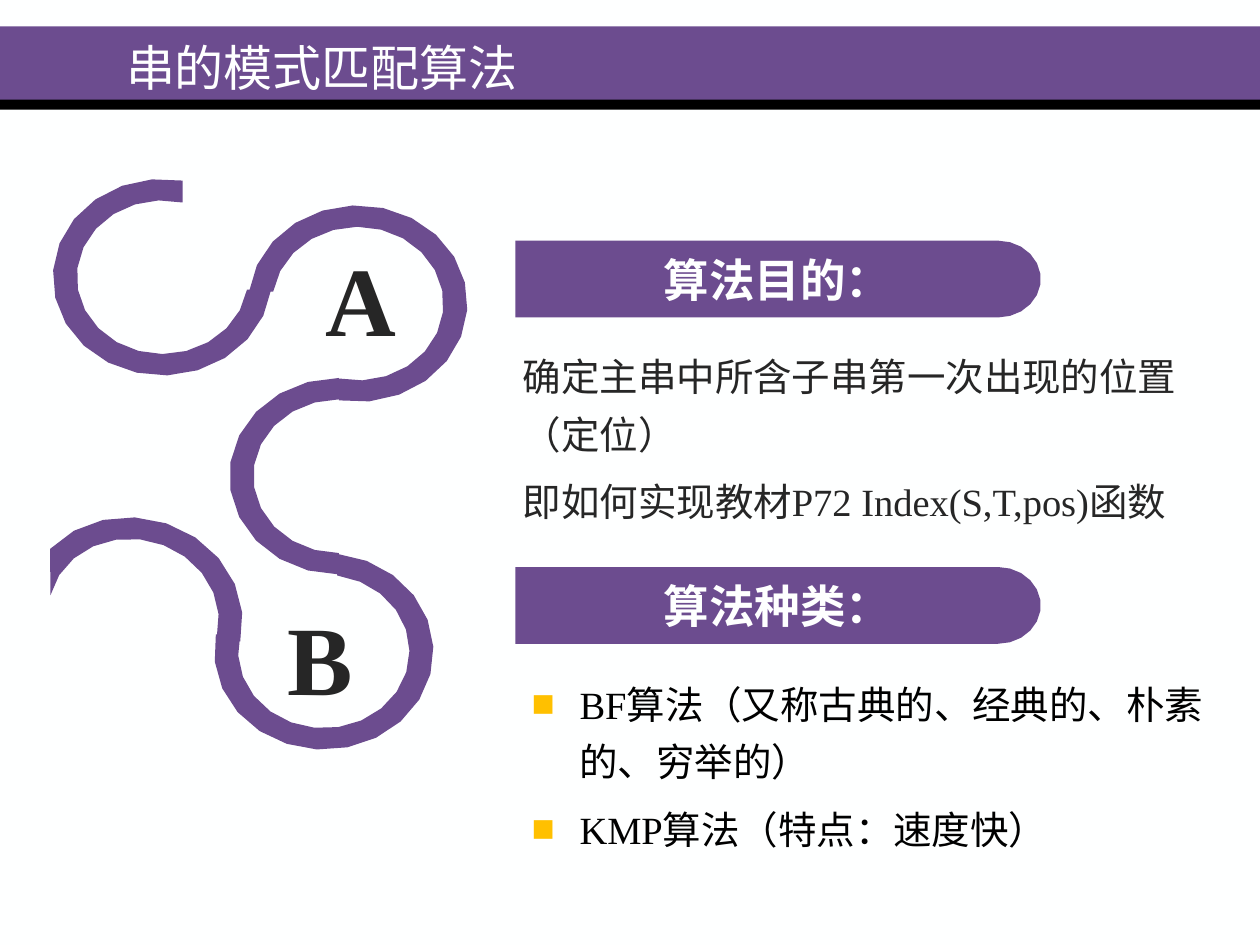
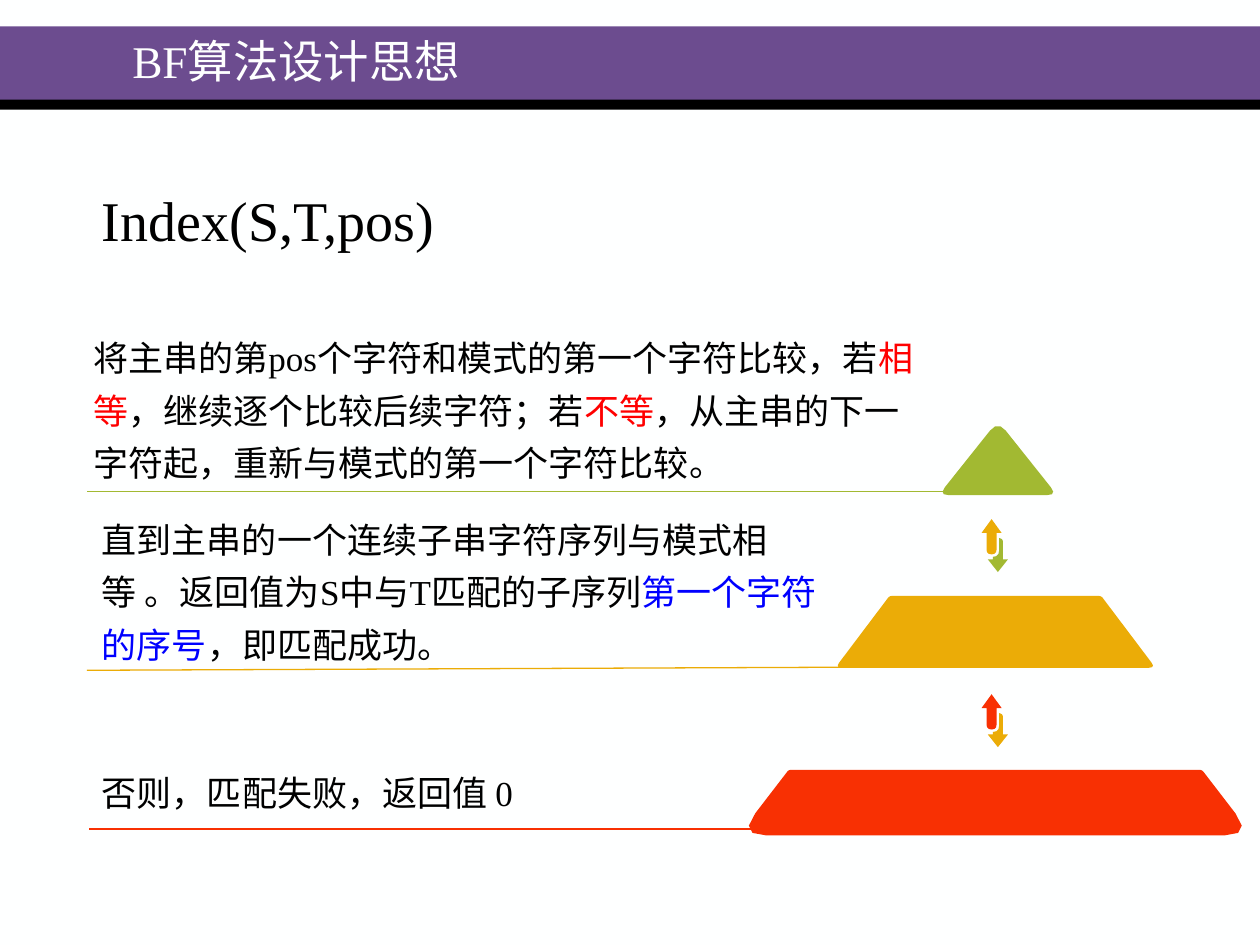
"""Build two slides on string pattern matching."""
import math

import lxml.etree
import pptx
import pptx.dml.color
import pptx.enum.shapes
import pptx.enum.text
import pptx.oxml.ns
import pptx.util

Inches = pptx.util.Inches
FONT = "Times New Roman"
PURPLE, WHITE, BLACK, INK = "6C4C8F", "FEFFFF", "000000", "262626"
GREEN, AMBER, SCARLET = "A2B932", "EBAC07", "F83003"
RED, BLUE, GOLD = "FF0000", "0000FF", "FFC000"

BANDS = [((0, 0.21, 10, 0.59), PURPLE), ((0, 0.79, 10, 0.08), BLACK)]
NARROW, WIDE = (0.1, 0.05), (0.13, 0.06)

OUTER, INNER = (0.87, 0.78), (0.68, 0.61)
# centre, outer angles, inner angles, tilt
RINGS = [
    ((2.84, 2.41), (187, 460), (189, 463), 0),
    ((2.69, 3.78), (90, 270), (90, 270), 0),
    ((2.57, 5.17), (-83, 190), (-81, 193), 0),
    ((1.29, 2.2), (7, 280.6), (9.4, 283.6), 0),
    ((1.06, 4.89), (208, 360), (181, 360), 13.3),
]
LETTERS = [("A", 2.45, 1.83), ("B", 2.15, 4.68)]
HEADINGS = [("算法目的：", 1.91), ("算法种类：", 4.5)]
TAB_LEFT, TAB_BEND, TAB_HEIGHT, TAB_TIP = 4.09, 7.92, 0.61, 0.34
PURPOSE = ["确定主串中所含子串第一次出现的位置（定位）",
           "即如何实现教材P72 Index(S,T,pos)函数"]
KINDS = ["BF算法（又称古典的、经典的、朴素的、穷举的）",
         "KMP算法（特点：速度快）"]

COMPARE = [[("将主串的第pos个字符和模式的第一个字符比较，若", BLACK), ("相等", RED),
            ("，继续逐个比较后续字符；若", BLACK), ("不等", RED),
            ("，从主串的下一字符起，重新与模式的第一个字符比较。", BLACK)]]
SUCCESS = [[("直到主串的一个连续子串字符序列与模式相等 。返回值为S中与T匹配的子序列", BLACK),
            ("第一个字符的序号", BLUE), ("，即匹配成功。", BLACK)]]
STEPS = [
    (COMPARE, (0.64, 2.54, 6.71, 1.35), 1.25),
    (SUCCESS, (0.71, 3.98, 6.1, 1.35), 1.25),
    (["否则，匹配失败，返回值 0"], (0.71, 6.07, 4.58, 0.44), None),
]
# colour, centre x, left-hand corners as (distance from centre, y, rounding)
TIERS = [
    (GREEN, 7.92, [(0.47, 3.93, 0.08), (0, 3.34, 0.1)]),
    (AMBER, 7.9, [(1.27, 5.3, 0.05), (0.84, 4.73, 0.02)]),
    (SCARLET, 7.9, [(2.04, 6.63, 0.22), (1.64, 6.11, 0.02)]),
]
RULES = [(SCARLET, (6.14, 6.58), (0.71, 6.58)),
         (GREEN, (7.9, 3.9), (0.69, 3.9)),
         (AMBER, (8.07, 5.29), (0.69, 5.32))]
UP_ARROW = [(0.08, 0, 0), (0.16, 0.11, 0), (0.12, 0.11, 0), (0.12, 0.28, 0.04),
            (0.04, 0.28, 0.04), (0.04, 0.11, 0), (0, 0.11, 0)]
DOWN_ARROW = [(0.14, 0.15, 0), (0.17, 0.16, 0.02), (0.17, 0.32, 0), (0.21, 0.32, 0),
              (0.13, 0.42, 0), (0.05, 0.32, 0), (0.09, 0.32, 0), (0.09, 0.3, 0),
              (0.14, 0.3, 0.05)]
ARROW_LEFT = 7.79
ARROW_PAIRS = [(4.12, AMBER, GREEN), (5.51, SCARLET, AMBER)]


def colour(code):
    """Turn a hex string into a colour."""
    return pptx.dml.color.RGBColor.from_string(code)


def paint(shape, code):
    """Give a shape a plain fill with no line or shadow."""
    shape.shadow.inherit = False
    shape.fill.solid()
    shape.fill.fore_color.rgb = colour(code)
    shape.line.fill.background()
    return shape


def add_bullet(para):
    """Give a paragraph a hanging gold square."""
    props = para._p.get_or_add_pPr()
    props.set("marL", str(Inches(0.38)))
    props.set("indent", str(-Inches(0.38)))
    name = pptx.oxml.ns.qn
    tint = lxml.etree.SubElement(props, name("a:buClr"))
    lxml.etree.SubElement(tint, name("a:srgbClr")).set("val", GOLD)
    lxml.etree.SubElement(props, name("a:buFont")).set("typeface", FONT)
    lxml.etree.SubElement(props, name("a:buChar")).set("char", "■")


def write(shape, paragraphs, size, tint=BLACK, bold=False, align="LEFT", anchor="TOP",
          insets=NARROW, spacing=None, gap=0, bullet=False):
    """Fill a shape with paragraphs, each a string or a list of coloured runs."""
    frame = shape.text_frame
    frame.word_wrap = True
    frame.auto_size = pptx.enum.text.MSO_AUTO_SIZE.NONE
    frame.vertical_anchor = pptx.enum.text.MSO_ANCHOR[anchor]
    frame.margin_left = frame.margin_right = Inches(insets[0])
    frame.margin_top = frame.margin_bottom = Inches(insets[1])
    for index, content in enumerate(paragraphs):
        para = frame.add_paragraph() if index else frame.paragraphs[0]
        para._p.get_or_add_pPr().set("hangingPunct", "0")
        if bullet:
            add_bullet(para)
        para.alignment = pptx.enum.text.PP_ALIGN[align]
        if spacing:
            para.line_spacing = spacing
        para.space_before = pptx.util.Pt(gap if index else 0)
        runs = [(content, tint)] if isinstance(content, str) else content
        for text, code in runs:
            span = para.add_run()
            span.text = text
            span.font.name = FONT
            span.font.size = pptx.util.Pt(size)
            span.font.bold = bold
            span.font.color.rgb = colour(code)


def add_box(page, place, paragraphs, size, **style):
    """Add a text box."""
    write(page.shapes.add_textbox(*map(Inches, place)), paragraphs, size, **style)


def add_outline(page, points, code):
    """Add a filled closed outline."""
    dots = [(Inches(x), Inches(y)) for x, y in points]
    builder = page.shapes.build_freeform(*dots[0])
    builder.add_line_segments(dots[1:], close=True)
    return paint(builder.convert_to_shape(), code)


def arc(centre, radii, angles, tilt=0, stride=17):
    """List points along an elliptical arc, angles running clockwise."""
    turn = math.radians(tilt)
    steps = math.ceil(abs(angles[1] - angles[0]) / stride)
    points = []
    for step in range(steps + 1):
        angle = math.radians(angles[0] + (angles[1] - angles[0]) * step / steps)
        x, y = radii[0] * math.cos(angle), radii[1] * math.sin(angle)
        points.append((centre[0] + x * math.cos(turn) - y * math.sin(turn),
                       centre[1] + x * math.sin(turn) + y * math.cos(turn)))
    return points


def soften(corners, steps=3):
    """Round each (x, y, rounding) corner with a quadratic curve."""
    points = []
    for index, (x, y, rounding) in enumerate(corners):
        if not rounding:
            points.append((x, y))
            continue
        ends = []
        for other in (corners[index - 1], corners[(index + 1) % len(corners)]):
            share = rounding / math.dist((x, y), other[:2])
            ends.append((x + (other[0] - x) * share, y + (other[1] - y) * share))
        for step in range(steps + 1):
            t = step / steps
            points.append(tuple((1 - t) ** 2 * a + 2 * t * (1 - t) * b + t * t * c
                                for a, b, c in zip(ends[0], (x, y), ends[1])))
    return points


def add_rule(page, code, start, end):
    """Add a thin straight line."""
    rule = page.shapes.add_connector(pptx.enum.shapes.MSO_CONNECTOR.STRAIGHT,
                                     *map(Inches, start + end))
    rule.line.color.rgb = colour(code)
    rule.line.width = pptx.util.Pt(0.75)
    lxml.etree.SubElement(rule.element.spPr, pptx.oxml.ns.qn("a:effectLst"))


def add_page(deck, title, place, size, spacing=None):
    """Add a title-only slide with its title on the band."""
    page = deck.slides.add_slide(deck.slide_layouts[5])
    heading = page.shapes.title
    heading.left, heading.top, heading.width, heading.height = map(Inches, place)
    write(heading, [title], size, tint=WHITE, anchor="MIDDLE", spacing=spacing)
    return page


def add_bands(page):
    """Draw the title bands and hand them to the layout."""
    for number, (place, code) in enumerate(BANDS):
        band = page.shapes.add_shape(pptx.enum.shapes.MSO_SHAPE.RECTANGLE,
                                     *map(Inches, place))
        paint(band, code).element.nvSpPr.cNvPr.set("id", str(20 + number))
        page.slide_layout.shapes[number].element.addprevious(band.element)


def fill_overview(page):
    """Draw the winding ribbon and the two headed texts."""
    for centre, outer, inner, tilt in RINGS:
        add_outline(page, arc(centre, OUTER, outer, tilt)
                    + arc(centre, INNER, inner[::-1], tilt), PURPLE)
    for text, top in HEADINGS:
        half = TAB_HEIGHT / 2
        tip = arc((TAB_BEND, top + half), (TAB_TIP, half), (-90, 90))
        tab = add_outline(page, [(TAB_LEFT, top), *tip, (TAB_LEFT, top + TAB_HEIGHT)],
                          PURPLE)
        write(tab, [text], 26, tint=WHITE, bold=True, align="CENTER",
              anchor="MIDDLE", insets=WIDE)
    for letter, left, top in LETTERS:
        add_box(page, (left, top, 0.64, 1.06), [letter], 56, tint=INK, bold=True,
                insets=WIDE)
    body = {"insets": WIDE, "spacing": 1.25, "gap": 5.5}
    add_box(page, (4.02, 2.65, 5.69, 1.58), PURPOSE, 22, tint=INK, **body)
    add_box(page, (4.09, 5.25, 5.62, 1.58), KINDS, 22, bullet=True, **body)


def fill_idea(page):
    """Draw the three steps beside the pyramid."""
    add_box(page, (0.71, 1.42, 3.31, 0.64), ["Index(S,T,pos)"], 32)
    for paragraphs, place, spacing in STEPS:
        add_box(page, place, paragraphs, 20, spacing=spacing)
    for code, middle, half in TIERS:
        left = [(middle - reach, y, rounding) for reach, y, rounding in half]
        right = [(middle + reach, y, rounding) for reach, y, rounding in half[::-1]]
        add_outline(page, soften(list(dict.fromkeys(left + right))), code)
    for top, up, down in ARROW_PAIRS:
        for arrow, code in ((UP_ARROW, up), (DOWN_ARROW, down)):
            corners = [(ARROW_LEFT + x, top + y, r) for x, y, r in arrow]
            add_outline(page, soften(corners), code)
    for code, start, end in RULES:
        add_rule(page, code, start, end)


def main():
    """Build and save the deck."""
    deck = pptx.Presentation()
    deck.slide_width, deck.slide_height = Inches(10), Inches(7.5)
    backdrop = deck.slide_master.background.fill
    backdrop.solid()
    backdrop.fore_color.rgb = colour(WHITE)
    overview = add_page(deck, "串的模式匹配算法", (0.9, -0.03, 5.24, 1.12), 28)
    add_bands(overview)
    fill_overview(overview)
    idea = add_page(deck, "BF算法设计思想", (0.95, 0.23, 3.85, 0.56), 25.9, spacing=0.9)
    fill_idea(idea)
    deck.save("out.pptx")


if __name__ == "__main__":
    main()
